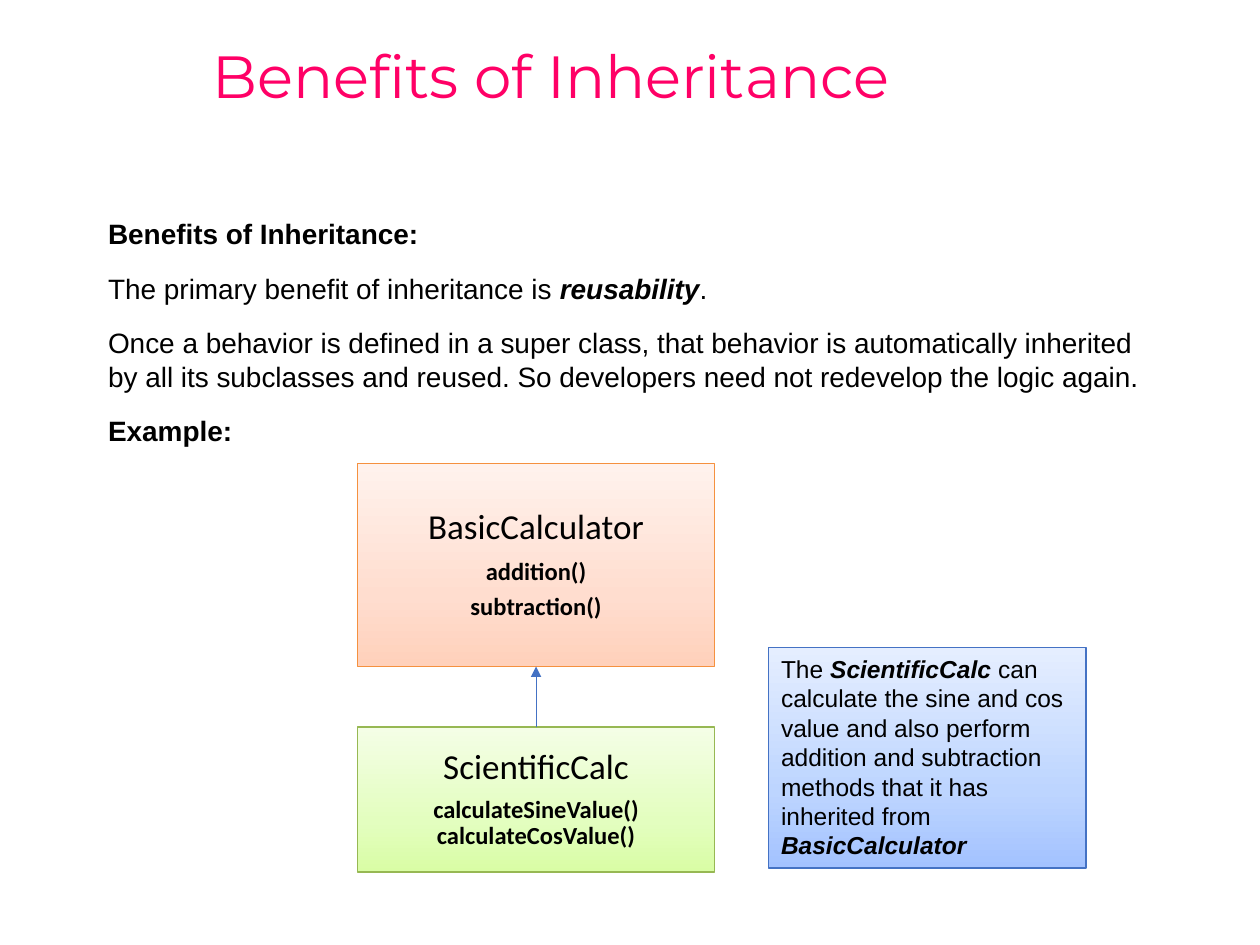
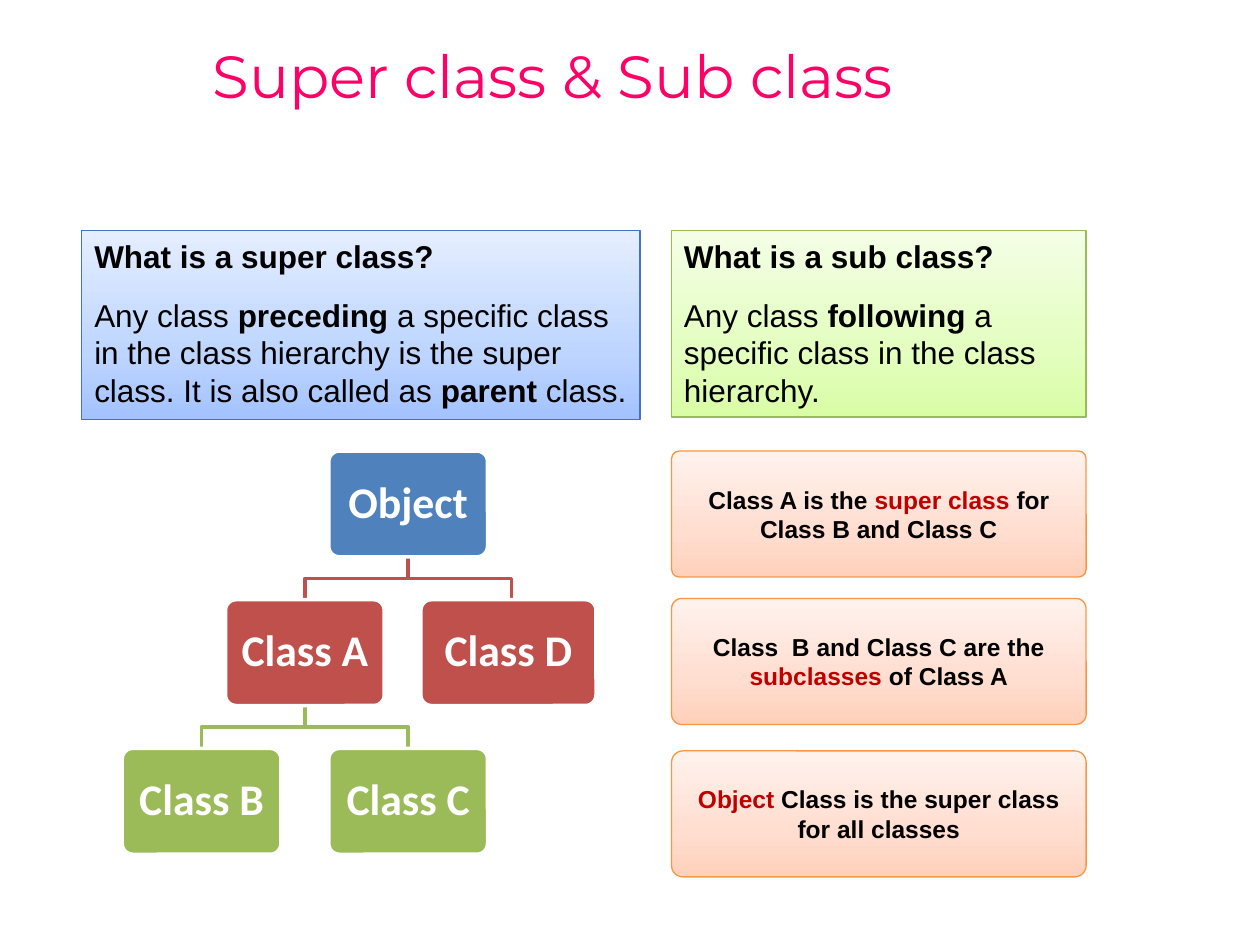
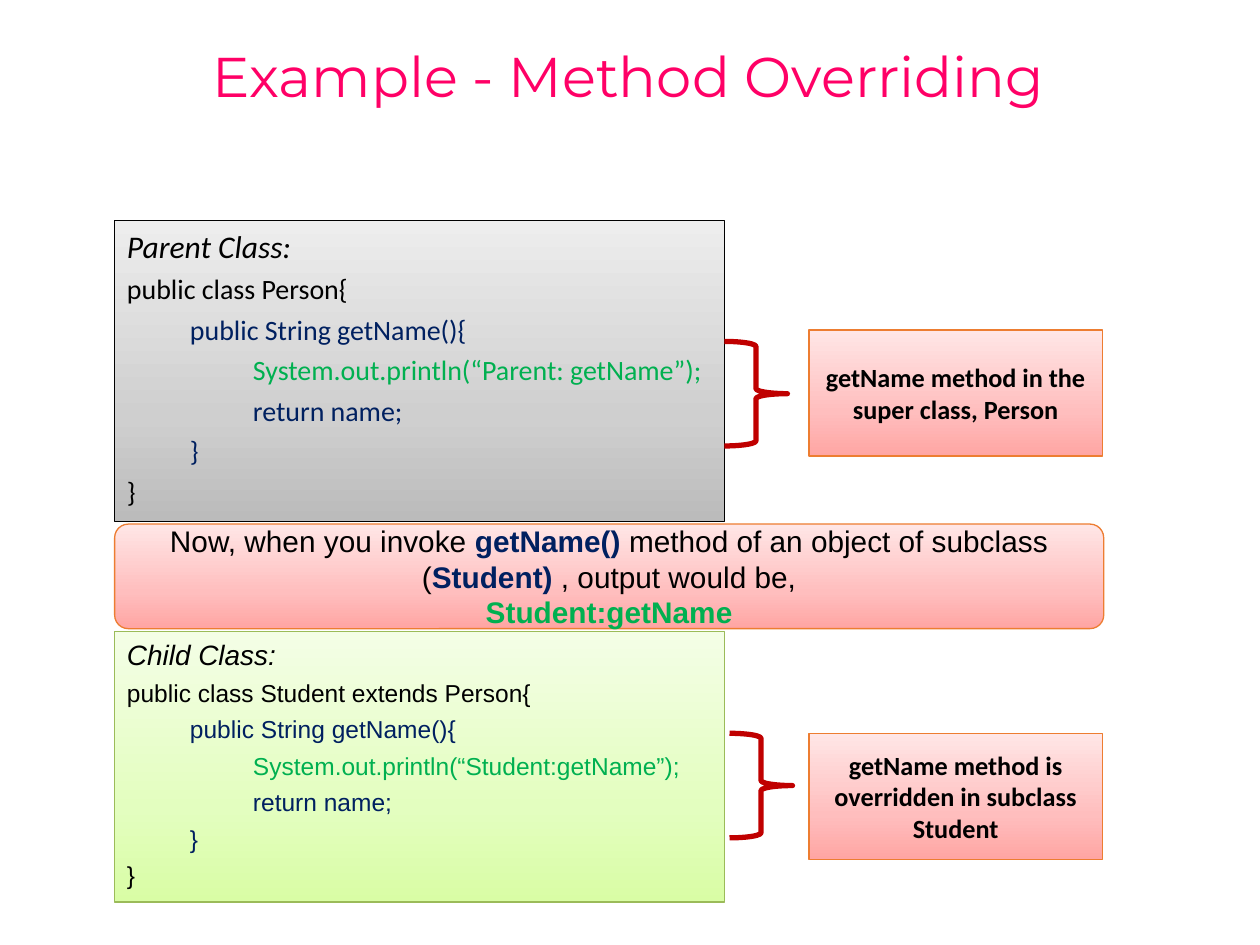
"""Builds three lecture slides on inheritance, class hierarchy and overriding."""
import copy
import pptx
import pptx.util
import pptx.dml.color
import pptx.enum.shapes
import pptx.enum.text
import pptx.oxml
import pptx.oxml.ns

COLOURS = {
    "pink": "FF0066", "black": "000000", "white": "FFFFFF", "red": "C00000",
    "navy": "002060", "green": "00B050", "blue": "4472C4", "orange": "F79646",
    "amber": "F5913F", "rust": "ED7D31", "leaf": "9BBB59", "moss": "97B853",
    "object": "4F81BD", "brick": "C0504C",
}
GRADIENTS = {
    "peach": ("FFD1BB", "FFDDCF", "FFF2ED"),
    "lime": ("D9FDA5", "E3FEBF", "F4FEE6"),
    "sky": ("A3C2FF", "BDD5FF", "E5EEFF"),
    "grey": ("BBBBBB", "CFCFCF", "EDEDED"),
    "rose": ("FFA5A3", "FFBEBE", "FFE6E6"),
}
STOPS = (0, 0.35, 1)
RGB = pptx.dml.color.RGBColor.from_string
SHAPE = pptx.enum.shapes.MSO_SHAPE
MIDDLE = pptx.enum.text.MSO_ANCHOR.MIDDLE
TOP = pptx.enum.text.MSO_ANCHOR.TOP
LEFT = pptx.enum.text.PP_ALIGN.LEFT
CENTER = pptx.enum.text.PP_ALIGN.CENTER

deck = pptx.Presentation()
deck.slide_width = pptx.util.Inches(10)
deck.slide_height = pptx.util.Inches(7.5)
COL = deck.slide_width / 100
ROW = deck.slide_height / 75


def panel(slide, kind, box, fill, line, width=0.75, corner=None):
    """Add a shape at (column, row, columns, rows)."""
    left, top, across, down = box
    shape = slide.shapes.add_shape(kind, round(left * COL), round(top * ROW),
                                   round(across * COL), round(down * ROW))
    shape.shadow.inherit = False
    if fill in GRADIENTS:
        shape.fill.gradient()
        shape.fill.gradient_angle = 90
        ramp = shape._element.spPr.find(".//" + pptx.oxml.ns.qn("a:gsLst"))
        ramp.insert(1, copy.deepcopy(ramp[0]))
        for stop, position, shade in zip(shape.fill.gradient_stops, STOPS, GRADIENTS[fill]):
            stop.position = position
            stop.color.rgb = RGB(shade)
    elif fill:
        shape.fill.solid()
        shape.fill.fore_color.rgb = RGB(COLOURS[fill])
    else:
        shape.fill.background()
    shape.line.color.rgb = RGB(COLOURS[line])
    shape.line.width = pptx.util.Pt(width)
    if corner is not None:
        shape.adjustments[0] = corner
    return shape


def write(shape, font, lines, align=LEFT, anchor=TOP, before=0, after=0, leading=1, inset=None):
    """Fill a shape with (size, indent columns, runs); a run is (text, marks, colour)."""
    frame = shape.text_frame
    frame.word_wrap = True
    frame.vertical_anchor = anchor
    if inset is not None:
        frame.margin_left = frame.margin_right = round(inset * COL)
        frame.margin_top = frame.margin_bottom = round(inset * ROW)
    for number, (size, indent, runs) in enumerate(lines):
        paragraph = frame.add_paragraph() if number else frame.paragraphs[0]
        paragraph.alignment = align
        paragraph.line_spacing = leading
        paragraph.space_before = pptx.util.Pt(before)
        paragraph.space_after = pptx.util.Pt(after * size)
        if indent:
            paragraph._p.get_or_add_pPr().set("marL", str(round(indent * COL)))
        for text, marks, colour in runs:
            if text == "\n":
                paragraph.add_line_break()
                continue
            run = paragraph.add_run()
            run.text = text
            run.font.name = font
            run.font.size = pptx.util.Pt(size)
            run.font.bold = "b" in marks
            run.font.italic = "i" in marks
            run.font.color.rgb = RGB(COLOURS[colour])


slides = []
for heading, size in (("Benefits of Inheritance", 34), ("Super class & Sub class", 34),
                      ("Example - Method Overriding", 32)):
    slide = deck.slides.add_slide(deck.slide_layouts[6])
    title = slide.shapes.add_textbox(round(15.9 * COL), round(0.1 * ROW),
                                     round(84.1 * COL), round(12.4 * ROW))
    write(title, "Montserrat", [(size, 0, [(heading, "", "pink")])], anchor=MIDDLE, leading=0.9)
    slides.append(slide)
benefits, hierarchy, overriding = slides

explanation = benefits.shapes.add_textbox(round(7.6 * COL), round(16.7 * ROW),
                                          round(84 * COL), round(31.6 * ROW))
write(explanation, "Arial", [
    (16, 0, [("Benefits of Inheritance:", "b", "black")]),
    (16, 0, [("The primary benefit of inheritance is ", "", "black"),
             ("reusability", "bi", "black"), (".", "", "black")]),
    (16, 0, [("Once a behavior is defined in a super class, that behavior is automatically "
              "inherited by all its subclasses and reused. So developers need not redevelop "
              "the logic again.", "", "black")]),
    (16, 0, [("Example:", "b", "black")]),
], before=12)

basic = panel(benefits, SHAPE.RECTANGLE, (28.4, 36.8, 28.3, 16.1), "peach", "amber")
write(basic, "Calibri", [
    (20, 0, [("BasicCalculator", "", "black")]),
    (14, 0, [("addition()", "b", "black")]),
    (14, 0, [("subtraction()", "b", "black")]),
], CENTER, MIDDLE, after=0.35, leading=0.9, inset=0.2)

scientific = panel(benefits, SHAPE.RECTANGLE, (28.4, 57.7, 28.3, 11.5), "lime", "moss")
write(scientific, "Calibri", [
    (20, 0, [("ScientificCalc", "", "black")]),
    (14, 0, [("calculateSineValue()", "b", "black"), ("\n", "", "black"),
             ("calculateCosValue()", "b", "black")]),
], CENTER, MIDDLE, after=0.3, leading=0.9, inset=0.2)

remark = panel(benefits, SHAPE.RECTANGLE, (61, 51.4, 25.2, 17.5), "sky", "blue")
write(remark, "Arial", [
    (14, 0, [("The ", "", "black"), ("ScientificCalc ", "bi", "black"),
             ("can calculate the sine and cos value and also perform addition and "
              "subtraction methods that it has inherited from ", "", "black"),
             ("BasicCalculator", "bi", "black")]),
])

inherits = benefits.shapes.add_connector(pptx.enum.shapes.MSO_CONNECTOR.STRAIGHT, 0, 0, 0, 0)
inherits.begin_connect(scientific, 0)
inherits.end_connect(basic, 2)
inherits.line.color.rgb = RGB(COLOURS["blue"])
inherits.line.width = pptx.util.Pt(0.5)
inherits.line._get_or_add_ln().append(pptx.oxml.parse_xml(
    '<a:tailEnd %s type="triangle"/>' % pptx.oxml.ns.nsdecls("a")))
inherits._element.spPr.append(pptx.oxml.parse_xml(
    "<a:effectLst %s/>" % pptx.oxml.ns.nsdecls("a")))

definitions = (
    ((6.5, 18.3, 44.3, 15), "sky", "blue", "What is a super class?", [
        ("Any class ", "", "black"), ("preceding", "b", "black"),
        (" a specific class in the class hierarchy is the super class. "
         "It is also called as ", "", "black"),
        ("parent", "b", "black"), (" class.", "", "black")]),
    ((53.3, 18.3, 32.9, 14.8), "lime", "leaf", "What is a sub class?", [
        ("Any class ", "", "black"), ("following", "b", "black"),
        (" a specific class in the class hierarchy.", "", "black")]),
)
for box, fill, line, question, answer in definitions:
    definition = panel(hierarchy, SHAPE.RECTANGLE, box, fill, line)
    write(definition, "Arial", [(18, 0, [(question, "b", "black")]), (18, 0, answer)], before=12)

TREE_TOP, LEVEL_STEP, NODE_HEIGHT = 35.8, 11.8, 8.4
LEVEL_COLOURS = ("object", "brick", "leaf")
tree = (
    ("Object", 0, 32.4, None, 26.1, 12.6),
    ("Class A", 1, 24.2, 32.4, 17.9, 12.6),
    ("Class D", 1, 40.6, 32.4, 33.4, 13.9),
    ("Class B", 2, 16, 24.2, 9.7, 12.6),
    ("Class C", 2, 32.4, 24.2, 26.1, 12.6),
)
for name, level, stem, parent_stem, left, across in tree:
    top = TREE_TOP + level * LEVEL_STEP
    if parent_stem:
        start = top - LEVEL_STEP + NODE_HEIGHT
        bend = (start + top) / 2
        branch = hierarchy.shapes.build_freeform(round(parent_stem * COL), round(start * ROW))
        branch.add_line_segments([(round(x * COL), round(y * ROW)) for x, y in (
            (parent_stem, bend), (stem, bend), (stem, top))], close=False)
        elbow = branch.convert_to_shape()
        elbow.shadow.inherit = False
        elbow.fill.background()
        elbow.line.color.rgb = RGB(COLOURS[LEVEL_COLOURS[level]])
        elbow.line.width = pptx.util.Pt(2)
for name, level, stem, parent_stem, left, across in tree:
    node = panel(hierarchy, SHAPE.ROUNDED_RECTANGLE,
                 (left, TREE_TOP + level * LEVEL_STEP, across, NODE_HEIGHT),
                 LEVEL_COLOURS[level], "white", 2, 0.1)
    write(node, "Calibri", [(25, 0, [(name, "b", "white")])], CENTER, MIDDLE,
          after=0.35, leading=0.9, inset=0)

facts = (
    (35.8, 0.06, [("Class A is the ", "b", "black"), ("super class ", "b", "red"),
                  ("for Class B and Class C", "b", "black")]),
    (47.5, 0.08, [("Class  B and Class C are the ", "b", "black"), ("subclasses", "b", "red"),
                  (" of Class A", "b", "black")]),
    (59.6, 0.09, [("Object", "b", "red"),
                  (" Class is the super class for all classes", "b", "black")]),
)
for top, corner, runs in facts:
    fact = panel(hierarchy, SHAPE.ROUNDED_RECTANGLE, (53.3, top, 32.9, 10),
                 "peach", "orange", corner=corner)
    write(fact, "Arial", [(14, 0, runs)], CENTER, MIDDLE)

listings = (
    ((9.1, 50.1, 48.4, 21.5), "lime", "leaf", "Arial", 16, 14, "Child Class:",
     "public class Student extends Person{", "System.out.println(“Student:getName”);"),
    ((9.1, 17.5, 48.4, 23.9), "grey", "black", "Calibri", 18, 16, "Parent Class:",
     "public class Person{", "System.out.println(“Parent: getName”);"),
)
for box, fill, line, font, label_size, code_size, label, declaration, output in listings:
    listing = panel(overriding, SHAPE.RECTANGLE, box, fill, line)
    code = ((0, declaration, "black"), (5, "public String getName(){", "navy"),
            (10, output, "green"), (10, "return name;", "navy"), (5, "}", "navy"),
            (0, "}", "black"))
    write(listing, font, [(label_size, 0, [(label, "i", "black")])] + [
        (code_size, indent, [(text, "", colour)]) for indent, text, colour in code], before=4)

callouts = (
    (57.5, 27.1, 26.2, "getName method in the super class, Person"),
    (57.9, 58.2, 58.2, "getName method is overridden in subclass Student"),
)
for brace_left, brace_top, top, message in callouts:
    panel(overriding, SHAPE.RIGHT_BRACE, (brace_left, brace_top, 5, 8.3), None, "red", 3, 0.08)
    callout = panel(overriding, SHAPE.RECTANGLE, (64.2, top, 23.3, 10), "rose", "rust")
    write(callout, "Calibri", [(15, 0, [(message, "b", "black")])], CENTER, MIDDLE)

outcome = panel(overriding, SHAPE.ROUNDED_RECTANGLE, (9.1, 41.6, 78.5, 8.3),
                "rose", "rust", corner=0.13)
write(outcome, "Arial", [
    (17, 0, [("Now, when you invoke ", "", "black"), ("getName() ", "b", "navy"),
             ("method of an object of subclass (", "", "black"), ("Student) ", "b", "navy"),
             (", output would be,", "", "black")]),
    (17, 0, [("Student:getName", "b", "green")]),
], CENTER, MIDDLE)

deck.save("out.pptx")
